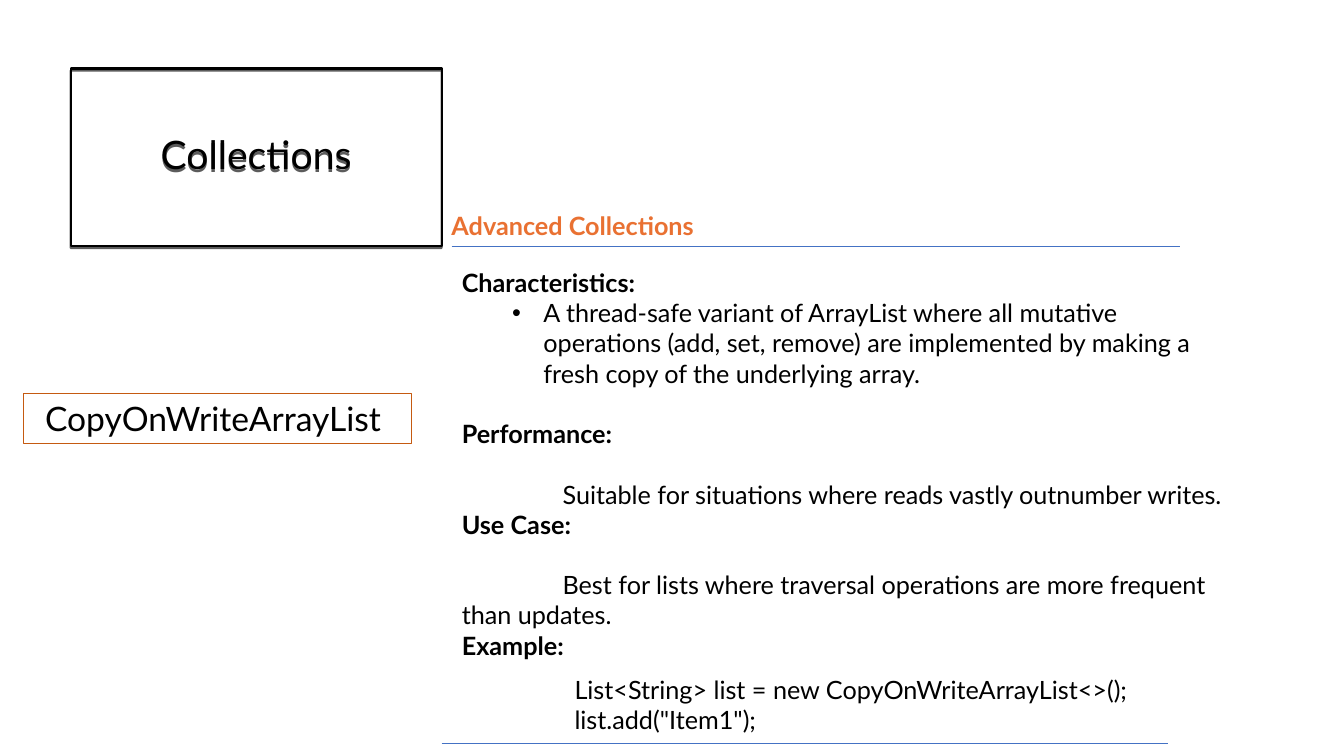
from lxml import etree
from pptx import Presentation
from pptx.dml.color import RGBColor
from pptx.enum.shapes import MSO_CONNECTOR, MSO_SHAPE
from pptx.enum.text import MSO_ANCHOR, MSO_AUTO_SIZE, PP_ALIGN
from pptx.oxml.ns import qn
from pptx.util import Inches, Pt

STRAIGHT = MSO_CONNECTOR.STRAIGHT
RECTANGLE = MSO_SHAPE.RECTANGLE
CENTER, LEFT = PP_ALIGN.CENTER, PP_ALIGN.LEFT
MIDDLE, TOP = MSO_ANCHOR.MIDDLE, MSO_ANCHOR.TOP
GROW, FIXED = MSO_AUTO_SIZE.SHAPE_TO_FIT_TEXT, MSO_AUTO_SIZE.NONE

FONT = "Lato"
COLORS = {"text": "000000", "heading": "E97132", "rule": "4472C4", "label": "C55A11"}
BLANK_LINE = 21.6  # points

# text, kind, space before in points
DETAILS = [
    ("Characteristics:", "heading", 0),
    ("A thread-safe variant of ArrayList where all mutative operations "
     "(add, set, remove) are implemented by making a fresh copy of the "
     "underlying array.", "bullet", 0),
    ("Performance:", "heading", BLANK_LINE),
    ("Suitable for situations where reads vastly outnumber writes.",
     "indented", BLANK_LINE),
    ("Use Case:", "heading", 0),
    ("Best for lists where traversal operations are more frequent than updates.",
     "indented", BLANK_LINE),
    ("Example:", "heading", 0),
]
CODE = ["List<String> list = new CopyOnWriteArrayList<>();", 'list.add("Item1");']
# left margin, first-line indent in inches, bullet
INDENTS = {"heading": (0, 0, None), "bullet": (0.81, -0.31, "•"),
           "indented": (0, 1, None)}


def rgb(name):
    return RGBColor.from_string(COLORS[name])


def place(sp, left, top, width, height):
    sp.left, sp.top = Inches(left), Inches(top)
    sp.width, sp.height = Inches(width), Inches(height)


def set_outline(sp, color, width):
    sp.line.color.rgb = rgb(color)
    sp.line.width = Pt(width)


def add_run(p, text, size=18, color="text", bold=False):
    r = p.add_run()
    r.text = text
    r.font.name = FONT
    r.font.size = Pt(size)
    r.font.bold = bold
    r.font.color.rgb = rgb(color)


def prepare_text(sp, anchor=TOP, auto_size=GROW):
    tf = sp.text_frame
    tf.word_wrap = True
    tf.auto_size = auto_size
    tf.vertical_anchor = anchor
    return tf


def next_paragraph(tf, index):
    return tf.add_paragraph() if index else tf.paragraphs[0]


def set_indent(p, margin, indent, bullet):
    pPr = p._p.get_or_add_pPr()
    pPr.set("marL", str(Inches(margin)))
    pPr.set("indent", str(Inches(indent)))
    if bullet:
        etree.SubElement(pPr, qn("a:buFont")).set("typeface", "Arial")
        etree.SubElement(pPr, qn("a:buChar")).set("char", bullet)
    else:
        etree.SubElement(pPr, qn("a:buNone"))


def add_drop_shadow(sp):
    effects = etree.SubElement(sp._element.spPr, qn("a:effectLst"))
    shadow = etree.SubElement(effects, qn("a:outerShdw"), dist=str(Pt(1.5)),
                              dir="5400000", rotWithShape="0")
    color = etree.SubElement(shadow, qn("a:srgbClr"), val=COLORS["text"])
    etree.SubElement(color, qn("a:alpha"), val="63000")


def fill_title(sp):
    place(sp, 0.7, 0.68, 3.68, 1.76)
    sp.fill.background()
    set_outline(sp, "text", 1.5)
    add_drop_shadow(sp)
    p = prepare_text(sp, MIDDLE, FIXED).paragraphs[0]
    p.alignment = CENTER
    p.line_spacing = 0.9
    add_run(p, "Collections", 28)


def fill_details(sp):
    place(sp, 4.48, 2.6, 7.87, 4.04)
    tf = prepare_text(sp)
    for i, (text, kind, before) in enumerate(DETAILS):
        p = next_paragraph(tf, i)
        p.alignment = LEFT
        p.space_before = Pt(before)
        set_indent(p, *INDENTS[kind])
        add_run(p, text, bold=kind == "heading")


def add_rule(s, left, right, y):
    rule = s.shapes.add_connector(STRAIGHT, Inches(left), Inches(y),
                                  Inches(right), Inches(y))
    set_outline(rule, "rule", 0.5)
    etree.SubElement(rule._element.spPr, qn("a:effectLst"))


def add_text(s, box, lines, **style):
    sp = s.shapes.add_textbox(*map(Inches, box))
    tf = prepare_text(sp)
    for i, line in enumerate(lines):
        add_run(next_paragraph(tf, i), line, **style)


def add_label(s, box, text):
    sp = s.shapes.add_shape(RECTANGLE, *map(Inches, box))
    sp.shadow.inherit = False
    sp.fill.background()
    set_outline(sp, "label", 0.75)
    p = prepare_text(sp).paragraphs[0]
    p.alignment = CENTER
    add_run(p, text, 24)


def main():
    prs = Presentation()
    prs.slide_width, prs.slide_height = Inches(13.33), Inches(7.5)
    s = prs.slides.add_slide(prs.slide_layouts[1])
    fill_title(s.shapes.title)
    fill_details(s.placeholders[1])
    add_rule(s, 4.48, 11.7, 2.44)
    add_rule(s, 4.38, 11.58, 7.37)
    add_text(s, (4.38, 2.04, 2.83, 0.4), ["Advanced Collections"],
             color="heading", bold=True)
    add_label(s, (0.23, 3.9, 3.85, 0.5), "CopyOnWriteArrayList ")
    add_text(s, (5.6, 6.64, 6.67, 0.71), CODE)
    prs.save("out.pptx")


if __name__ == "__main__":
    main()
